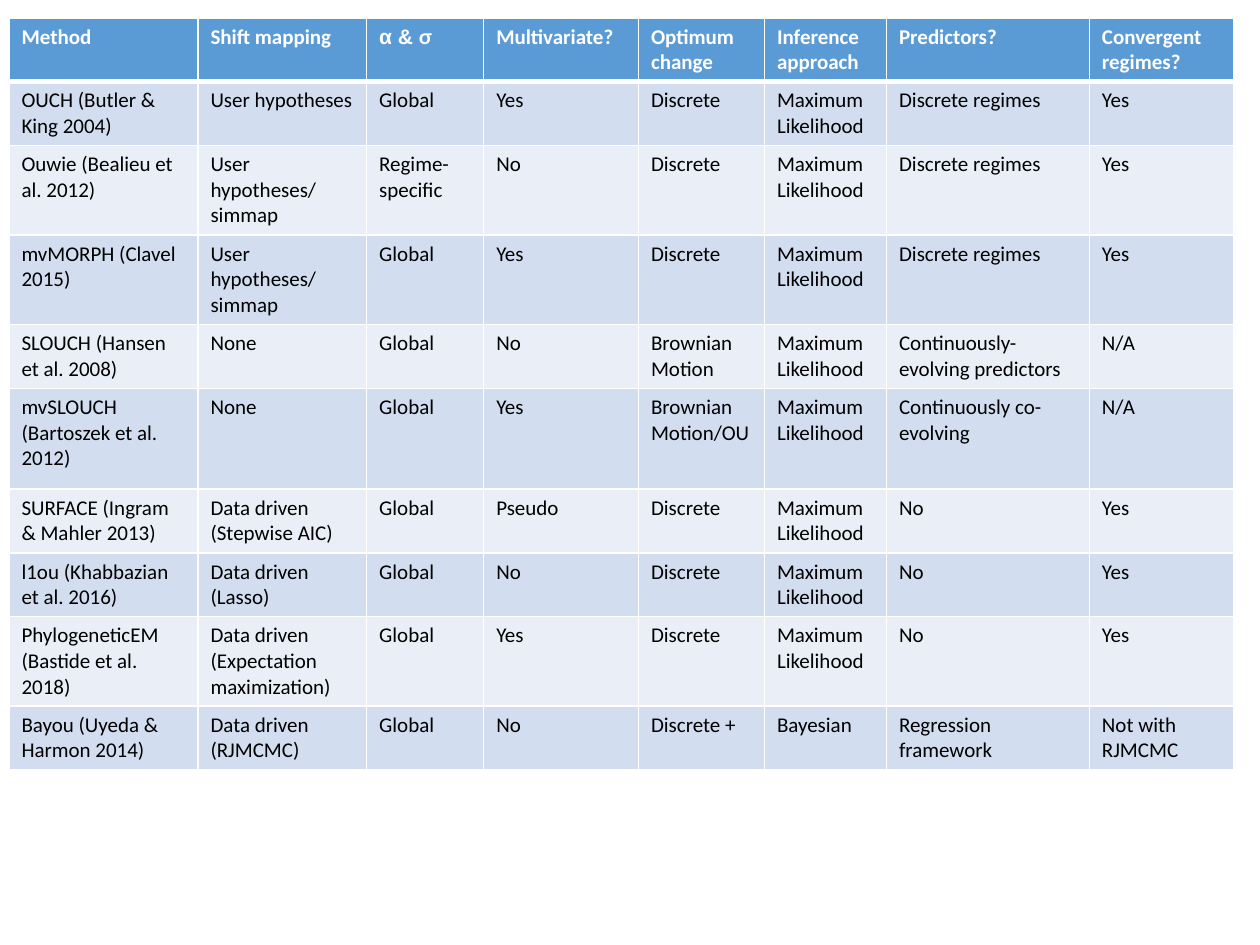
from dataclasses import dataclass

from lxml.etree import SubElement
from pptx import Presentation
from pptx.dml.color import RGBColor
from pptx.oxml.ns import qn
from pptx.util import Cm, Pt


@dataclass(frozen=True)
class Theme:
    header: str = "5B9BD5"
    bands: tuple = ("D2DEEF", "EAEFF7")
    border: str = "FFFFFF"
    header_text: str = "FFFFFF"
    body_text: str = "000000"
    font: str = "Calibri"
    size: int = 12
    thin: int = 1
    thick: int = 3


THEME = Theme()

COLUMN_WIDTHS = (3.81, 3.4, 2.36, 3.12, 2.54, 2.46, 4.09, 2.92)
ROW_HEIGHT = 1.07
TALL_ROWS = {5: 2.03, 6: 1.27}

# A cell is a string, or a list of (text, font) runs.
HEADINGS = ("Method", "Shift mapping", [("α & ", "Arial"), ("σ", "Lato")],
            "Multivariate?", "Optimum change", "Inference approach",
            "Predictors?", "Convergent regimes?")
ML = "Maximum Likelihood"
METHODS = (
    ("OUCH (Butler & King 2004)", "User hypotheses", "Global", "Yes",
     "Discrete", ML, "Discrete regimes", "Yes"),
    ("Ouwie (Bealieu et al. 2012)", "User hypotheses/ simmap",
     "Regime-specific", "No", "Discrete", ML, "Discrete regimes", "Yes"),
    ("mvMORPH (Clavel 2015)", "User hypotheses/ simmap", "Global", "Yes",
     "Discrete", ML, "Discrete regimes", "Yes"),
    ("SLOUCH (Hansen et al. 2008)", "None", "Global", "No",
     "Brownian Motion", ML, "Continuously-evolving predictors", "N/A"),
    ("mvSLOUCH (Bartoszek et al. 2012)", "None", "Global", "Yes",
     "Brownian Motion/OU", ML, "Continuously co-evolving", "N/A"),
    ("SURFACE (Ingram & Mahler 2013)", "Data driven (Stepwise AIC)",
     "Global", "Pseudo", "Discrete", ML, "No", "Yes"),
    ("l1ou (Khabbazian et al. 2016)", "Data driven (Lasso)", "Global", "No",
     "Discrete", ML, "No", "Yes"),
    ("PhylogeneticEM (Bastide et al. 2018)",
     "Data driven (Expectation maximization)", "Global", "Yes", "Discrete",
     ML, "No", "Yes"),
    ("Bayou (Uyeda & Harmon 2014)", "Data driven (RJMCMC)", "Global", "No",
     "Discrete +", "Bayesian", "Regression framework", "Not with RJMCMC"),
)


def set_borders(cell, widths):
    """Draw cell borders; widths maps L, R, T and B to points."""
    tc_pr = cell._tc.get_or_add_tcPr()
    for i, (side, width) in enumerate(widths.items()):
        ln = SubElement(tc_pr, qn(f"a:ln{side}"), w=str(Pt(width)))
        fill = SubElement(ln, qn("a:solidFill"))
        SubElement(fill, qn("a:srgbClr"), val=THEME.border)
        tc_pr.insert(i, ln)  # borders come before the cell fill


def fill_cell(cell, content, fill, color, bold):
    cell.fill.solid()
    cell.fill.fore_color.rgb = RGBColor.from_string(fill)
    p = cell.text_frame.paragraphs[0]
    runs = [(content, THEME.font)] if isinstance(content, str) else content
    for text, font in runs:
        r = p.add_run()
        r.text = text
        for name, value in {"name": font, "size": Pt(THEME.size), "bold": bold}.items():
            setattr(r.font, name, value)
        r.font.color.rgb = RGBColor.from_string(color)


def add_method_table(s, left, top):
    rows = (HEADINGS, *METHODS)
    heights = [TALL_ROWS.get(i, ROW_HEIGHT) for i in range(len(rows))]
    table = s.shapes.add_table(len(rows), len(HEADINGS), Cm(left), Cm(top),
                               Cm(sum(COLUMN_WIDTHS)), Cm(sum(heights))).table
    for column, width in zip(table.columns, COLUMN_WIDTHS):
        column.width = Cm(width)
    for i, (row, height, contents) in enumerate(zip(table.rows, heights, rows)):
        row.height = Cm(height)
        is_header = i == 0
        fill = THEME.header if is_header else THEME.bands[(i - 1) % 2]
        color = THEME.header_text if is_header else THEME.body_text
        borders = dict.fromkeys("LRTB", THEME.thin)
        if is_header:
            borders["B"] = THEME.thick
        elif i == 1:
            borders["T"] = THEME.thick
        for cell, content in zip(row.cells, contents):
            fill_cell(cell, content, fill, color, is_header)
            set_borders(cell, borders)


def main():
    prs = Presentation()
    prs.slide_width, prs.slide_height = Cm(25.4), Cm(19.05)
    s = prs.slides.add_slide(prs.slide_layouts[6])
    add_method_table(s, 0.18, 0.36)
    prs.save("out.pptx")


if __name__ == "__main__":
    main()
